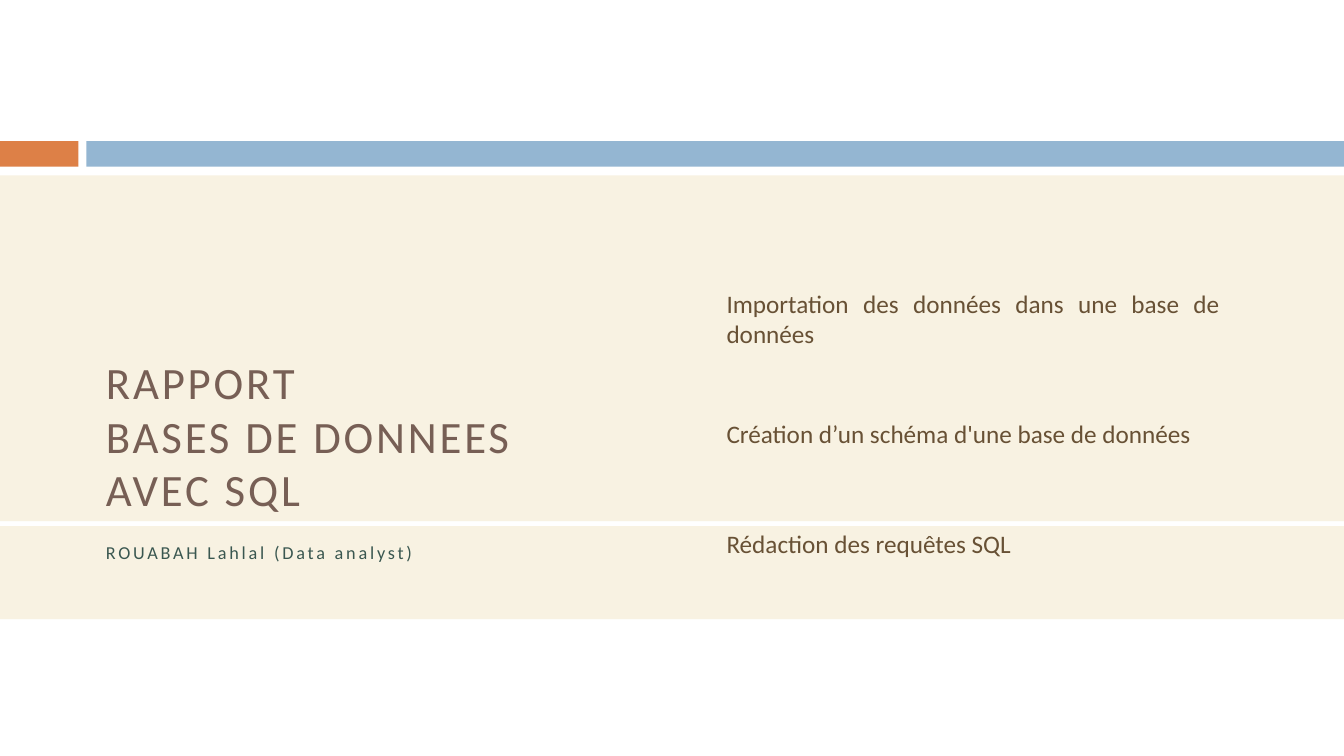
"""Build the title slide of a report on SQL databases."""
from lxml import etree
from pptx import Presentation
from pptx.dml.color import RGBColor
from pptx.enum.shapes import MSO_SHAPE as Preset
from pptx.enum.text import MSO_ANCHOR as Anchor, MSO_AUTO_SIZE as AutoSize, PP_ALIGN as Align
from pptx.oxml.ns import qn
from pptx.util import Cm, Pt

ORANGE = RGBColor(0xDD, 0x80, 0x47)
BLUE = RGBColor(0x94, 0xB6, 0xD2)
CREAM = RGBColor(0xF7, 0xF0, 0xDE)
MAUVE = RGBColor(0x77, 0x5F, 0x55)
GREEN = RGBColor(0x3A, 0x57, 0x50)
BROWN = RGBColor(0x68, 0x51, 0x35)
WIDTH = 33.87


def write(frame, text, size, color, align, spacing=0):
    frame.text = text
    frame.word_wrap = True
    for paragraph in frame.paragraphs:
        paragraph.alignment = align
        for run in paragraph.runs:
            run.font.name = "Calibri"
            run.font.size = Pt(size)
            run.font.color.rgb = color
            run.font._element.set("spc", str(spacing))


def make_band(band, top, height, inset_top, inset_right, anchor):
    band.left, band.top, band.width, band.height = Cm(0), Cm(top), Cm(WIDTH), Cm(height)
    band.fill.solid()
    band.fill.fore_color.rgb = CREAM
    tint = band._element.spPr.find(qn("a:solidFill"))[0]
    etree.SubElement(tint, qn("a:alpha")).set("val", "85000")
    frame = band.text_frame
    frame.auto_size = AutoSize.NONE
    frame.vertical_anchor = anchor
    frame.margin_left, frame.margin_right = Cm(2.67), Cm(inset_right)
    frame.margin_top, frame.margin_bottom = Cm(inset_top), Cm(0.13)


prs = Presentation()
prs.slide_width, prs.slide_height = Cm(WIDTH), Cm(19.05)
slide = prs.slides.add_slide(prs.slide_layouts[5])
shapes = slide.shapes

for left, width, color in [(0, 1.98, ORANGE), (2.18, WIDTH - 2.18, BLUE)]:
    bar = shapes.add_shape(Preset.RECTANGLE, Cm(left), Cm(3.56), Cm(width), Cm(0.64))
    bar.shadow.inherit = False
    bar.fill.solid()
    bar.fill.fore_color.rgb = color
    bar.line.fill.background()

title = shapes.title
make_band(title, 4.42, 8.71, 0.13, 20.32, Anchor.BOTTOM)
write(title.text_frame, "RAPPORT\nBASES DE DONNEES AVEC SQL", 32, MAUVE, Align.LEFT, 200)

author = shapes.add_textbox(Cm(0), Cm(13.26), Cm(WIDTH), Cm(2.34))
make_band(author, 13.26, 2.34, 0.38, 17.78, Anchor.TOP)
write(author.text_frame, "ROUABAH Lahlal (Data analyst)", 13, GREEN, Align.LEFT, 200)

topics = [
    ("Importation des données dans une base de données", 7.14, 12.93, 1.8),
    ("Création d’un schéma d'une base de données", 10.41, 12.93, 1.02),
    ("Rédaction des requêtes SQL", 13.18, 10.87, 1.02),
]
for text, top, width, height in topics:
    topic = shapes.add_textbox(Cm(18.06), Cm(top), Cm(width), Cm(height))
    write(topic.text_frame, text, 18, BROWN, Align.JUSTIFY)
    topic.text_frame.auto_size = AutoSize.SHAPE_TO_FIT_TEXT

prs.save("out.pptx")
